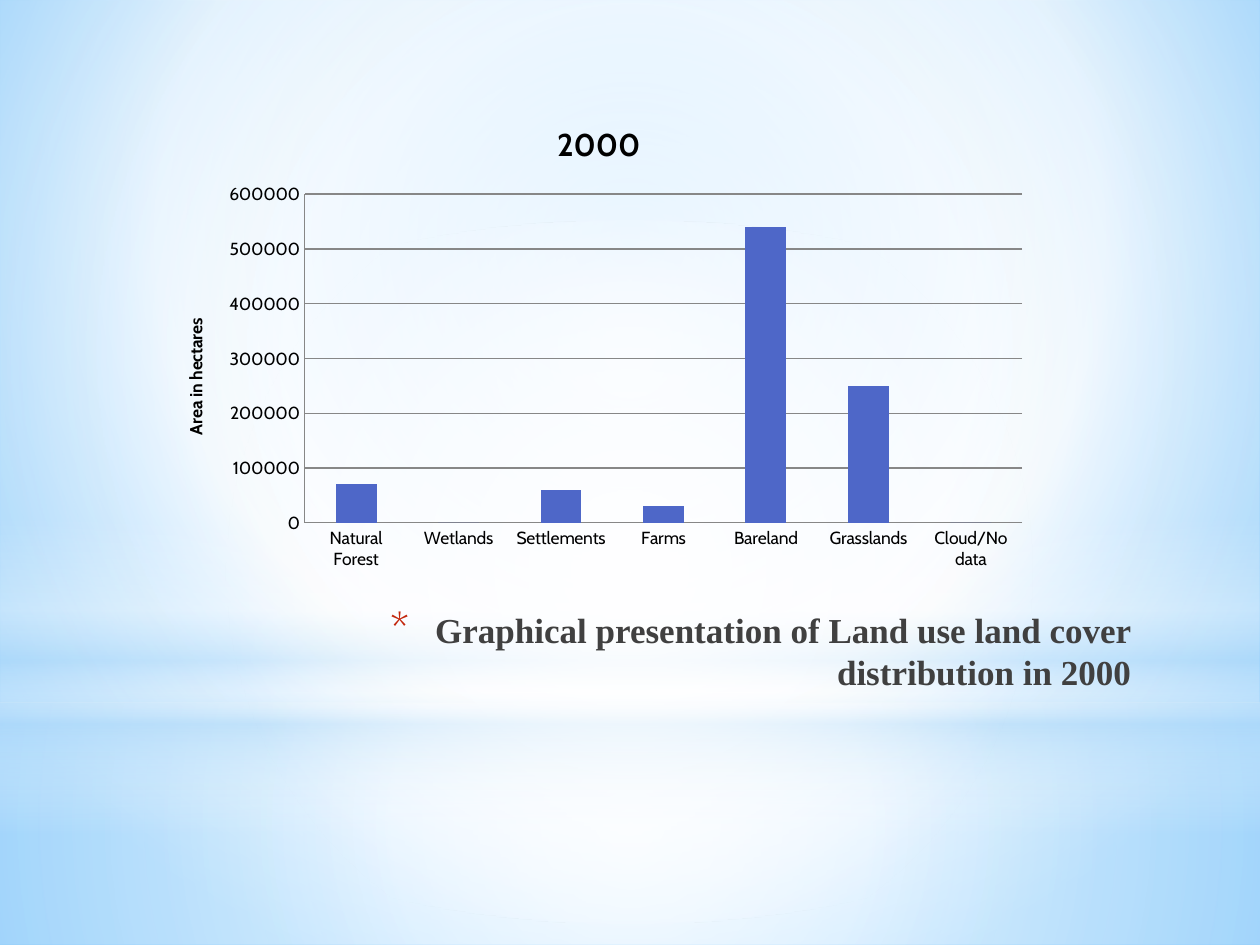
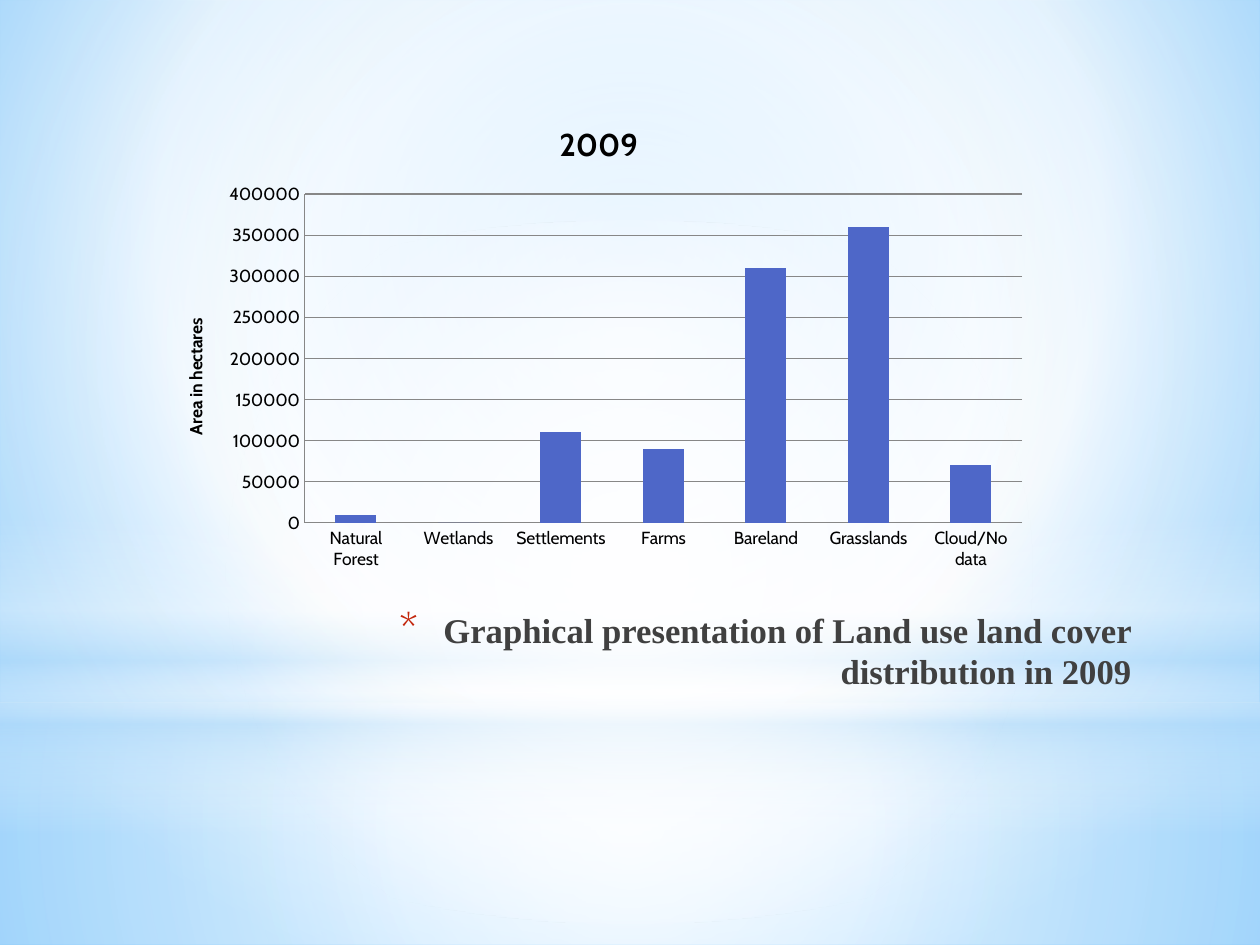
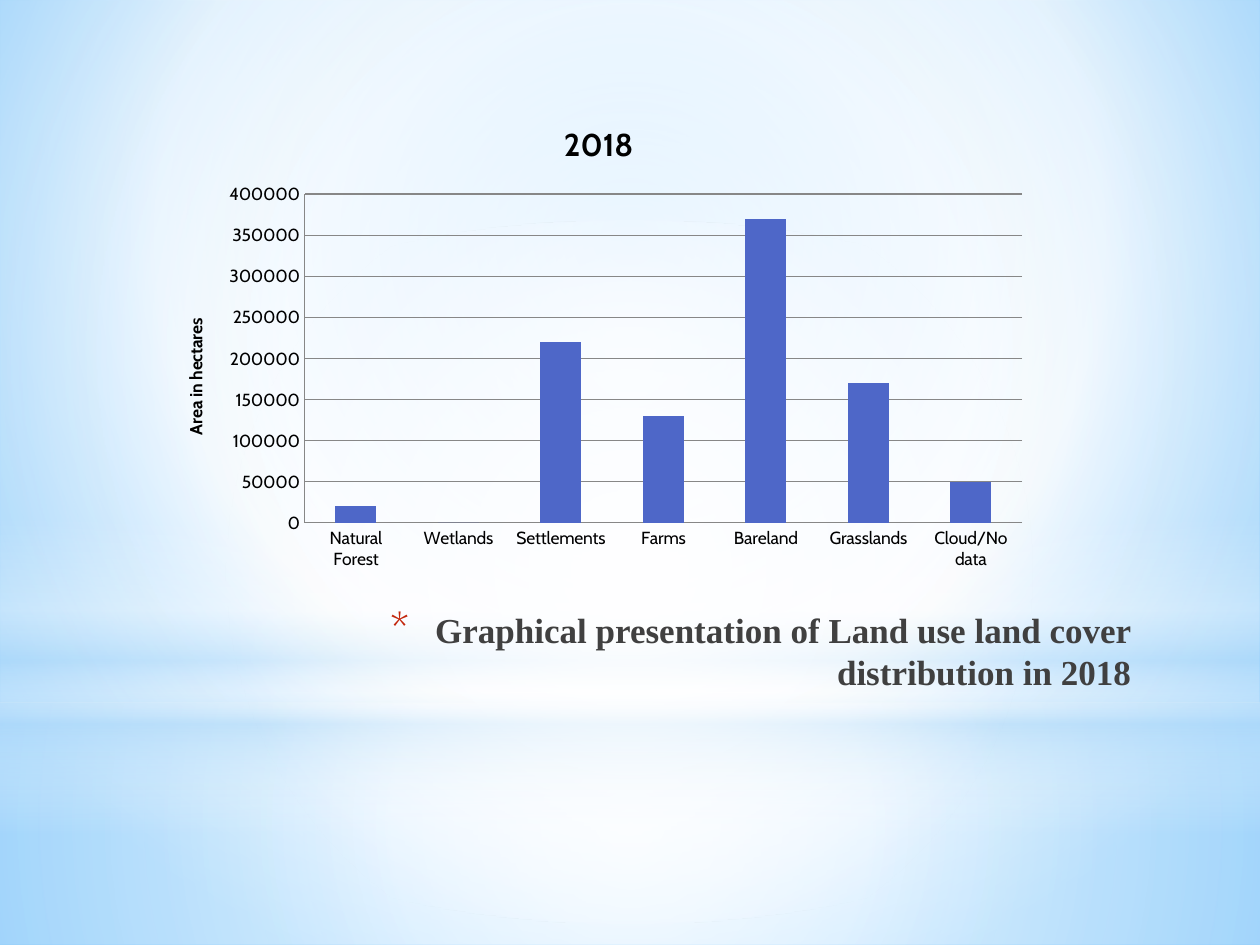
from dataclasses import dataclass

from pptx import Presentation
from pptx.chart.data import CategoryChartData
from pptx.dml.color import RGBColor
from pptx.enum.chart import XL_CHART_TYPE, XL_TICK_MARK
from pptx.enum.shapes import MSO_SHAPE
from pptx.enum.text import MSO_ANCHOR, MSO_AUTO_SIZE, PP_ALIGN
from pptx.oxml import parse_xml
from pptx.oxml.ns import nsdecls, qn
from pptx.util import Cm, Pt


@dataclass(frozen=True)
class Theme:
    sky: str = "9ED5FF"
    deep: str = "5BB9FF"
    pale: str = "B4DCFA"
    white: str = "FFFFFF"
    ink: str = "404040"
    black: str = "000000"
    red: str = "C3260C"
    bar: str = "4E67C8"
    grid: str = "878787"
    serif: str = "Times New Roman"
    sans: str = "Cabin"
    head: float = 18
    label: float = 10


T = Theme()
MID = (50, 50, 50, 50)

# Master bands: shape, box in cm, gradient stops (place, colour, opacity), focus
BANDS = [
    (MSO_SHAPE.RECTANGLE, (0, 14.17, 25.4, 4.88),
     [(0, T.white, 91), (37, T.white, 76), (100, T.pale, 79)], MID),
    (MSO_SHAPE.RECTANGLE, (0, 0, 25.4, 14.17),
     [(0, T.white, 89), (48, T.white, 62), (100, T.pale, 79)], MID),
    (MSO_SHAPE.RECTANGLE, (0, 10.46, 25.4, 6.35),
     [(0, T.white, 0), (29, T.white, 30), (45, T.pale, 40),
      (55, T.white, 26), (65, T.pale, 60), (100, T.white, 0)], None),
    (MSO_SHAPE.OVAL, (0, 4.45, 25.4, 14.17),
     [(0, T.white, 100), (56, T.white, 0)], MID),
]

KINDS = ["Natural Forest", "Wetlands", "Settlements", "Farms", "Bareland",
         "Grasslands", "Cloud/No data"]

# Year, title size, area of each kind of land
YEARS = [
    ("2000", 20, [70000, 0, 60000, 30000, 540000, 250000, 0]),
    ("2009", 19.8, [10000, 0, 110000, 90000, 310000, 360000, 70000]),
    ("2018", 20, [20000, 0, 220000, 130000, 370000, 170000, 50000]),
]


def rgb(tone):
    return RGBColor.from_string(tone)


def style(font, name, size, tone, bold=False):
    font.name, font.size, font.bold = name, Pt(size), bold
    font.color.rgb = rgb(tone)


def blend(host, stops, focus=None):
    """Turn the solid fill of host into a gradient: round if it has a focus."""
    marks = "".join(
        f'<a:gs pos="{place * 1000}"><a:srgbClr val="{tone}">'
        f'<a:alpha val="{alpha * 1000}"/></a:srgbClr></a:gs>'
        for place, tone, alpha in stops)
    if focus:
        sides = " ".join(f'{side}="{part * 1000}"'
                         for side, part in zip("ltrb", focus))
        way = f'<a:path path="circle"><a:fillToRect {sides}/></a:path>'
    else:
        way = '<a:lin ang="5400000" scaled="0"/>'
    old = next(host.iter(qn("a:solidFill")))
    old.getparent().replace(old, parse_xml(
        f'<a:gradFill {nsdecls("a")} rotWithShape="1">'
        f'<a:gsLst>{marks}</a:gsLst>{way}</a:gradFill>'))


def dress(master, slide):
    """Give the master its background and bands, drawn first on a slide."""
    master.background.fill.solid()
    blend(master.element.cSld,
          [(0, T.sky, 100), (60, T.white, 100), (100, T.deep, 100)],
          (20, 10, 20, 60))
    for rank, (form, box, stops, focus) in enumerate(BANDS):
        band = slide.shapes.add_shape(form, *map(Cm, box))
        band.shadow.inherit = False
        band.line.fill.background()
        band.fill.solid()
        blend(band.element.spPr, stops, focus)
        band.element.nvSpPr.cNvPr.set("id", str(20 + rank))
        master.shapes.element.insert(2 + rank, band.element)


def add_title(slide, text, size):
    title = slide.shapes.title
    title.left, title.top, title.width, title.height = map(
        Cm, (4.98, 12.14, 18.08, 3.18))
    frame = title.text_frame
    frame.text = text
    frame.word_wrap = True
    frame.auto_size = MSO_AUTO_SIZE.NONE
    frame.vertical_anchor = MSO_ANCHOR.TOP
    para = frame.paragraphs[0]
    para.alignment = PP_ALIGN.RIGHT
    # Red star bullet on a hanging indent
    props = para._p.get_or_add_pPr()
    props.set("marL", str(Cm(0.89)))
    props.set("indent", str(-Cm(0.89)))
    for mark in (f'<a:buClr {nsdecls("a")}><a:srgbClr val="{T.red}"/></a:buClr>',
                 f'<a:buSzPct {nsdecls("a")} val="128000"/>',
                 f'<a:buFont {nsdecls("a")} typeface="{T.sans}"/>',
                 f'<a:buChar {nsdecls("a")} char="*"/>'):
        props.append(parse_xml(mark))
    style(para.font, T.serif, size, T.ink, True)


def label(owner, text, size):
    frame = owner.text_frame
    frame.text = text
    style(frame.paragraphs[0].font, T.sans, size, T.black, True)


def trace(line):
    line.color.rgb = rgb(T.grid)
    line.width = Pt(0.75)


def add_chart(slide, year, areas):
    data = CategoryChartData()
    data.categories = KINDS
    data.add_series("Series 1", areas)
    chart = slide.shapes.add_chart(
        XL_CHART_TYPE.COLUMN_CLUSTERED,
        *map(Cm, (3.18, 2.03, 17.78, 9.65)), data).chart
    style(chart.font, T.sans, T.label, T.black)
    chart.has_legend = False
    chart.has_title = True
    label(chart.chart_title, year, T.head)
    chart.chart_title.include_in_layout = False
    # Columns
    plot = chart.plots[0]
    plot.gap_width = 150
    plot.vary_by_categories = False
    fill = plot.series[0].format.fill
    fill.solid()
    fill.fore_color.rgb = rgb(T.bar)
    # Axes
    for axis in (chart.category_axis, chart.value_axis):
        axis.major_tick_mark = axis.minor_tick_mark = XL_TICK_MARK.NONE
        trace(axis.format.line)
    scale = chart.value_axis
    scale.has_major_gridlines = True
    trace(scale.major_gridlines.format.line)
    label(scale.axis_title, "Area in hectares", T.label)


def main():
    deck = Presentation()
    deck.slide_width, deck.slide_height = Cm(25.4), Cm(19.05)
    for year, size, areas in YEARS:
        slide = deck.slides.add_slide(deck.slide_layouts[5])
        add_title(slide, "Graphical presentation of Land use land cover "
                         f"distribution in {year}", size)
        add_chart(slide, year, areas)
    dress(deck.slide_master, deck.slides[0])
    deck.save("out.pptx")


if __name__ == "__main__":
    main()
